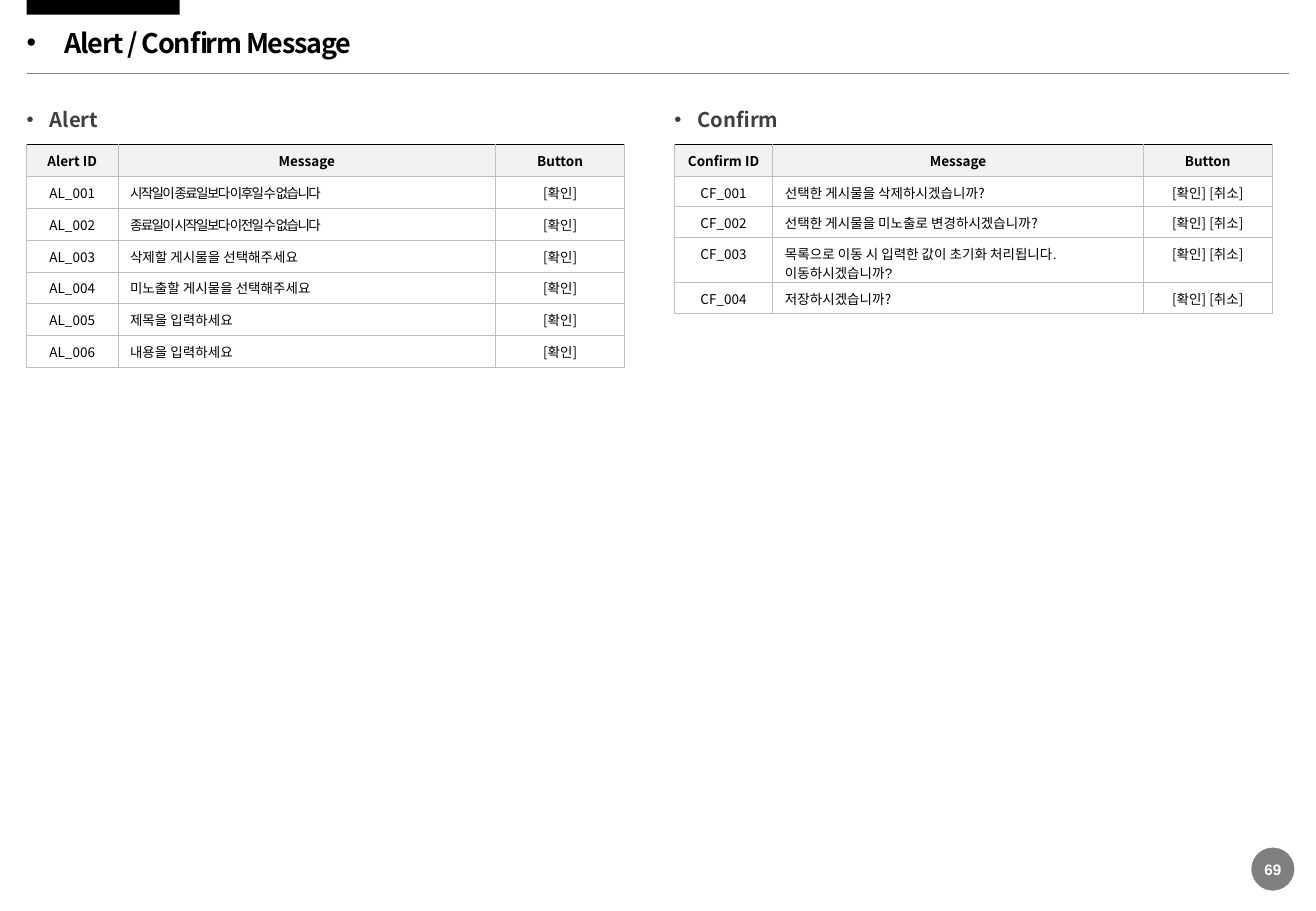
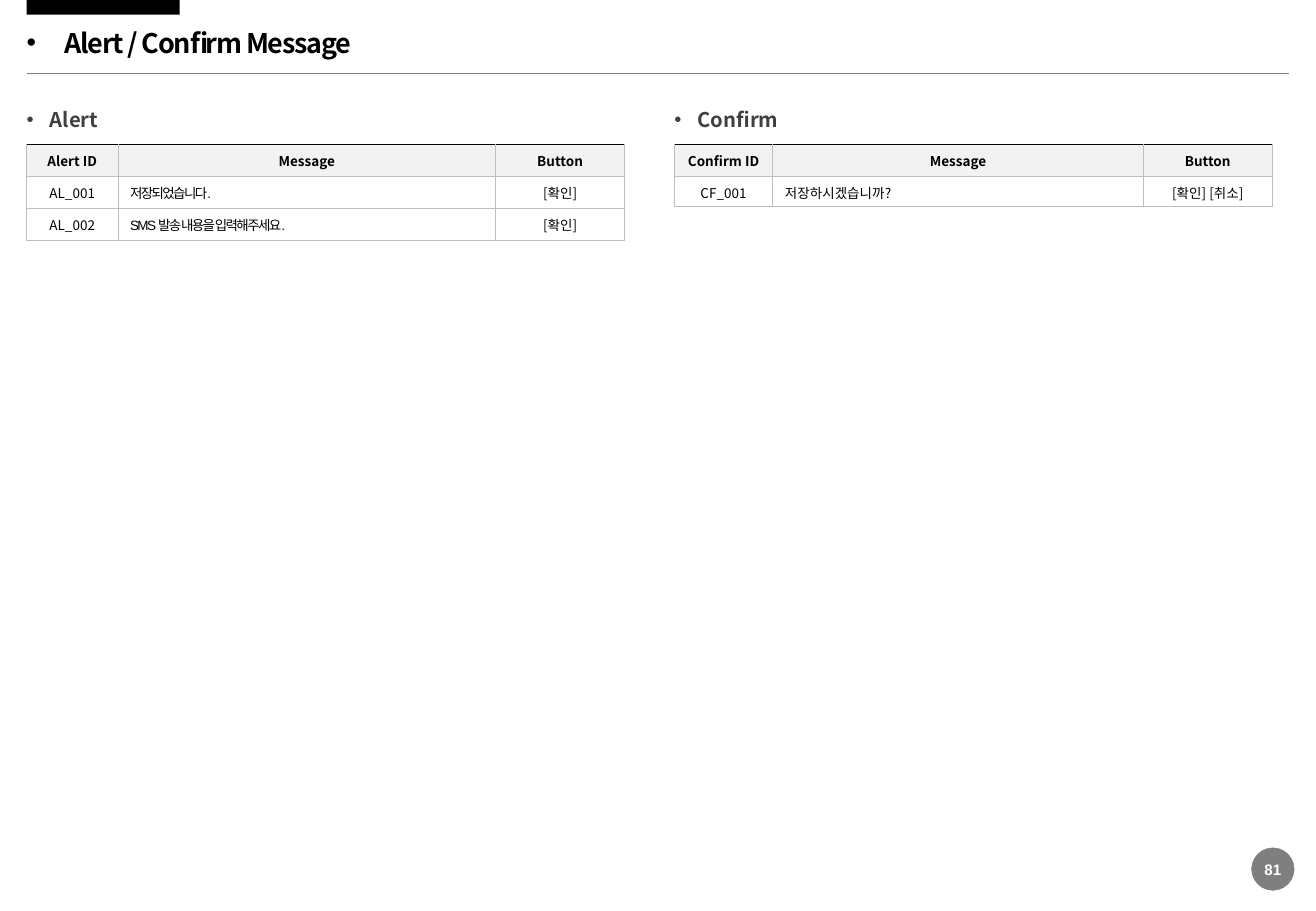
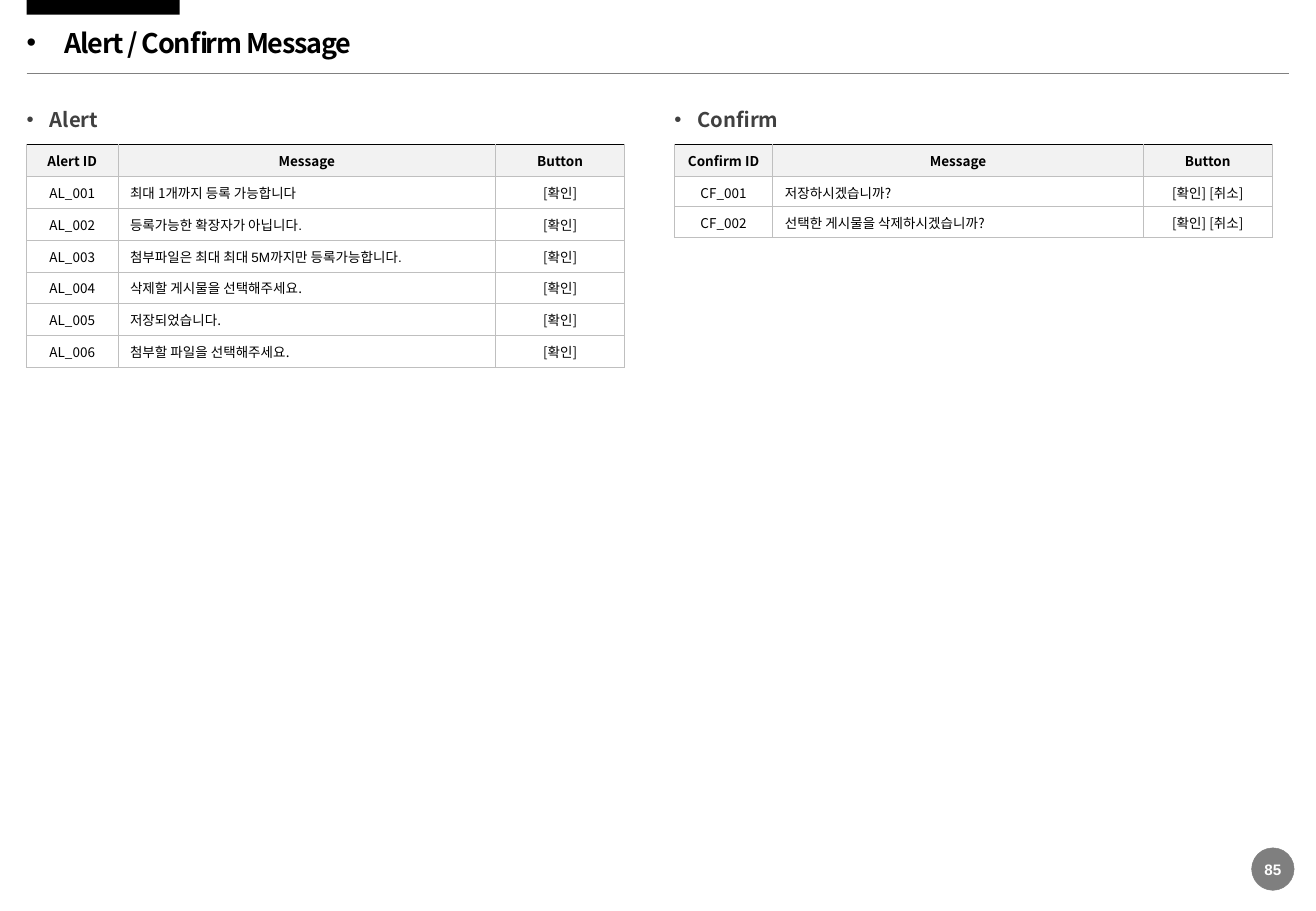
import dataclasses

import lxml.etree
import pptx
import pptx.dml.color
import pptx.enum.shapes
import pptx.enum.text
import pptx.oxml
import pptx.oxml.ns
import pptx.util

Inches = pptx.util.Inches
Pt = pptx.util.Pt
qn = pptx.oxml.ns.qn
PP_ALIGN = pptx.enum.text.PP_ALIGN
MSO_ANCHOR = pptx.enum.text.MSO_ANCHOR
MSO_SHAPE = pptx.enum.shapes.MSO_SHAPE

COLORS = {
    "ink": "000000",
    "heading": "404040",
    "rule": "808080",
    "grid": "BFBFBF",
    "header": "F2F2F2",
    "white": "FFFFFF",
}
SANS = "Noto Sans CJK KR"
ARIAL = "Arial"
MARGIN = 0.22
TABLE_TOP = 1.19
HEADER_H = 0.26
BUTTON_W = 1.06
TABLE_W = 4.92


@dataclasses.dataclass
class TextStyle:
    size: float
    font: str = SANS
    color: str = "ink"
    bold: bool = False
    spacing: float = 0


@dataclasses.dataclass
class Message:
    text: str
    font: str = SANS
    spacing: float = 0


@dataclasses.dataclass
class Panel:
    name: str
    prefix: str
    buttons: str
    left: float
    id_w: float
    row_h: float
    anchor: MSO_ANCHOR
    margin_bottom: float


@dataclasses.dataclass
class Page:
    number: str
    alerts: list[Message]
    confirms: list[Message]


TITLE = TextStyle(16, bold=True, spacing=-0.7)
HEADING = TextStyle(12, color="heading", bold=True)
NUMBER = TextStyle(9, ARIAL, "white", True)
HEADER = TextStyle(8, bold=True)
BODY = TextStyle(8)

ALERT = Panel("Alert", "AL", "[확인]", MARGIN, 0.75, 0.26, MSO_ANCHOR.MIDDLE, 0.05)
CONFIRM = Panel("Confirm", "CF", "[확인] [취소]", 5.55, 0.81, 0.25, MSO_ANCHOR.TOP, 0)

SAVE = Message("저장하시겠습니까?")
DELETE = Message("선택한 게시물을 삭제하시겠습니까?")

PAGES = [
    Page(
        "69",
        [
            Message("시작일이 종료일보다 이후일 수 없습니다", ARIAL, -1),
            Message("종료일이 시작일보다 이전일 수 없습니다", ARIAL, -1),
            Message("삭제할 게시물을 선택해주세요"),
            Message("미노출할 게시물을 선택해주세요"),
            Message("제목을 입력하세요"),
            Message("내용을 입력하세요"),
        ],
        [
            DELETE,
            Message("선택한 게시물을 미노출로 변경하시겠습니까?"),
            Message("목록으로 이동 시 입력한 값이 초기화 처리됩니다. 이동하시겠습니까?", ARIAL),
            SAVE,
        ],
    ),
    Page(
        "81",
        [
            Message("저장되었습니다.", ARIAL, -1),
            Message("SMS 발송 내용을 입력해주세요.", ARIAL, -1),
        ],
        [SAVE],
    ),
    Page(
        "85",
        [
            Message("최대 1개까지 등록 가능합니다"),
            Message("등록가능한 확장자가 아닙니다.", ARIAL),
            Message("첨부파일은 최대 최대 5M까지만 등록가능합니다.", ARIAL),
            Message("삭제할 게시물을 선택해주세요."),
            Message("저장되었습니다."),
            Message("첨부할 파일을 선택해주세요."),
        ],
        [SAVE, DELETE],
    ),
]


def rgb(name: str) -> pptx.dml.color.RGBColor:
    return pptx.dml.color.RGBColor.from_string(COLORS[name])


def box(left: float, top: float, width: float, height: float) -> tuple:
    return Inches(left), Inches(top), Inches(width), Inches(height)


def add_run(p, text: str, style: TextStyle) -> None:
    r = p.add_run()
    r.text = text
    r.font.size = Pt(style.size)
    r.font.bold = style.bold
    r.font.color.rgb = rgb(style.color)
    r.font.name = style.font
    rPr = r.font._element
    rPr.set("spc", str(round(style.spacing * 100)))
    lxml.etree.SubElement(rPr, qn("a:ea")).set("typeface", SANS)


def reset_frame(tf, anchor: MSO_ANCHOR) -> None:
    tf.margin_left = tf.margin_top = tf.margin_right = tf.margin_bottom = 0
    tf.vertical_anchor = anchor
    tf.auto_size = pptx.enum.text.MSO_AUTO_SIZE.NONE
    tf.word_wrap = True


def fill_bulleted(sp, bounds: tuple, text: str, style: TextStyle, indent: float,
                  anchor: MSO_ANCHOR, line: float = 1, before: float = 0) -> None:
    sp.left, sp.top, sp.width, sp.height = bounds
    reset_frame(sp.text_frame, anchor)
    p = sp.text_frame.paragraphs[0]
    p.alignment = PP_ALIGN.LEFT
    p.line_spacing = line
    p.space_before = Pt(before)
    pPr = p._p.get_or_add_pPr()
    pPr.set("marL", str(Inches(indent)))
    pPr.set("indent", str(-Inches(indent)))
    lxml.etree.SubElement(pPr, qn("a:buFont")).set("typeface", ARIAL)
    lxml.etree.SubElement(pPr, qn("a:buChar")).set("char", "•")
    add_run(p, text, style)


def set_border(cell, side: str, color: str, width: float) -> None:
    ln = lxml.etree.SubElement(cell._tc.get_or_add_tcPr(), qn(f"a:ln{side}"))
    ln.set("w", str(Pt(width)))
    fill = lxml.etree.SubElement(ln, qn("a:solidFill"))
    lxml.etree.SubElement(fill, qn("a:srgbClr")).set("val", COLORS[color])


def fill_cell(cell, text: str, style: TextStyle, centered: bool, header: bool) -> None:
    for side in "LRTB":
        top_rule = header and side == "T"
        set_border(cell, side, "ink" if top_rule else "grid", 1 if top_rule else 0.5)
    if header:
        cell.fill.solid()
        cell.fill.fore_color.rgb = rgb("header")
    else:
        cell.fill.background()
    cell.vertical_anchor = MSO_ANCHOR.MIDDLE
    p = cell.text_frame.paragraphs[0]
    p.alignment = PP_ALIGN.CENTER if centered else PP_ALIGN.LEFT
    add_run(p, text, style)


def add_panel(s, panel: Panel, heading, messages: list[Message]) -> None:
    fill_bulleted(heading, box(panel.left, 0.88, 0.91, 0.24), panel.name, HEADING,
                  0.19, MSO_ANCHOR.TOP)
    height = HEADER_H + panel.row_h * len(messages)
    table = s.shapes.add_table(len(messages) + 1, 3,
                               *box(panel.left, TABLE_TOP, TABLE_W, height)).table
    table.horz_banding = False
    widths = (panel.id_w, TABLE_W - panel.id_w - BUTTON_W, BUTTON_W)
    for col, width in zip(table.columns, widths):
        col.width = Inches(width)
    for i, row in enumerate(table.rows):
        row.height = Inches(panel.row_h if i else HEADER_H)
    for cell, text in zip(table.rows[0].cells, (f"{panel.name} ID", "Message", "Button")):
        fill_cell(cell, text, HEADER, True, True)
    for i, message in enumerate(messages, 1):
        message_style = dataclasses.replace(BODY, font=message.font, spacing=message.spacing)
        columns = (
            (f"{panel.prefix}_{i:03}", BODY, True),
            (message.text, message_style, False),
            (panel.buttons, BODY, True),
        )
        for cell, (text, style, centered) in zip(table.rows[i].cells, columns):
            fill_cell(cell, text, style, centered, False)
            cell.vertical_anchor = panel.anchor
            cell.margin_bottom = Inches(panel.margin_bottom)


def move_frame_to_layout(s, layout) -> None:
    band = s.shapes.add_shape(MSO_SHAPE.RECTANGLE, *box(MARGIN, 0, 1.26, 0.12))
    badge = s.shapes.add_shape(MSO_SHAPE.OVAL, *box(10.3, 6.98, 0.35, 0.35))
    for sp in (band, badge):
        sp.shadow.inherit = False
        sp.fill.solid()
        sp.fill.fore_color.rgb = rgb("ink")
    band.line.fill.background()
    clr = badge.element.spPr.find(qn("a:solidFill"))[0]
    lxml.etree.SubElement(clr, qn("a:alpha")).set("val", "50000")
    rule = s.shapes.add_connector(pptx.enum.shapes.MSO_CONNECTOR.STRAIGHT,
                                  Inches(MARGIN), Inches(0.6), Inches(10.61), Inches(0.6))
    for sp in (badge, rule):
        sp.line.color.rgb = rgb("rule")
        sp.line.width = Pt(0.25)
    lxml.etree.SubElement(rule.element.spPr, qn("a:effectLst"))
    for i, sp in enumerate((band, rule, badge), 101):
        sp.element.xpath(".//p:cNvPr")[0].set("id", str(i))
        layout.shapes.element.append(sp.element)


def add_page(prs, layout, page: Page):
    s = prs.slides.add_slide(layout)
    fill_bulleted(s.shapes.title, box(MARGIN, 0.21, 6.5, 0.31), "Alert / Confirm Message",
                  TITLE, 0.31, MSO_ANCHOR.MIDDLE, 0.9, 8.1)
    holders = {sp.placeholder_format.idx: sp for sp in s.placeholders}
    for idx in (2, 4):
        s.shapes.element.remove(holders[idx].element)
    add_panel(s, ALERT, holders[1], page.alerts)
    add_panel(s, CONFIRM, holders[3], page.confirms)
    tf = s.shapes.add_textbox(*box(10.3, 7.08, 0.35, 0.15)).text_frame
    reset_frame(tf, MSO_ANCHOR.MIDDLE)
    p = tf.paragraphs[0]
    p.alignment = PP_ALIGN.CENTER
    add_run(p, page.number, NUMBER)
    return s


def main() -> None:
    prs = pptx.Presentation()
    prs.slide_width = Inches(10.83)
    prs.slide_height = Inches(7.5)
    layout = prs.slide_layouts.get_by_name("Comparison")
    slides = [add_page(prs, layout, page) for page in PAGES]
    move_frame_to_layout(slides[0], layout)
    prs.save("out.pptx")


if __name__ == "__main__":
    main()
